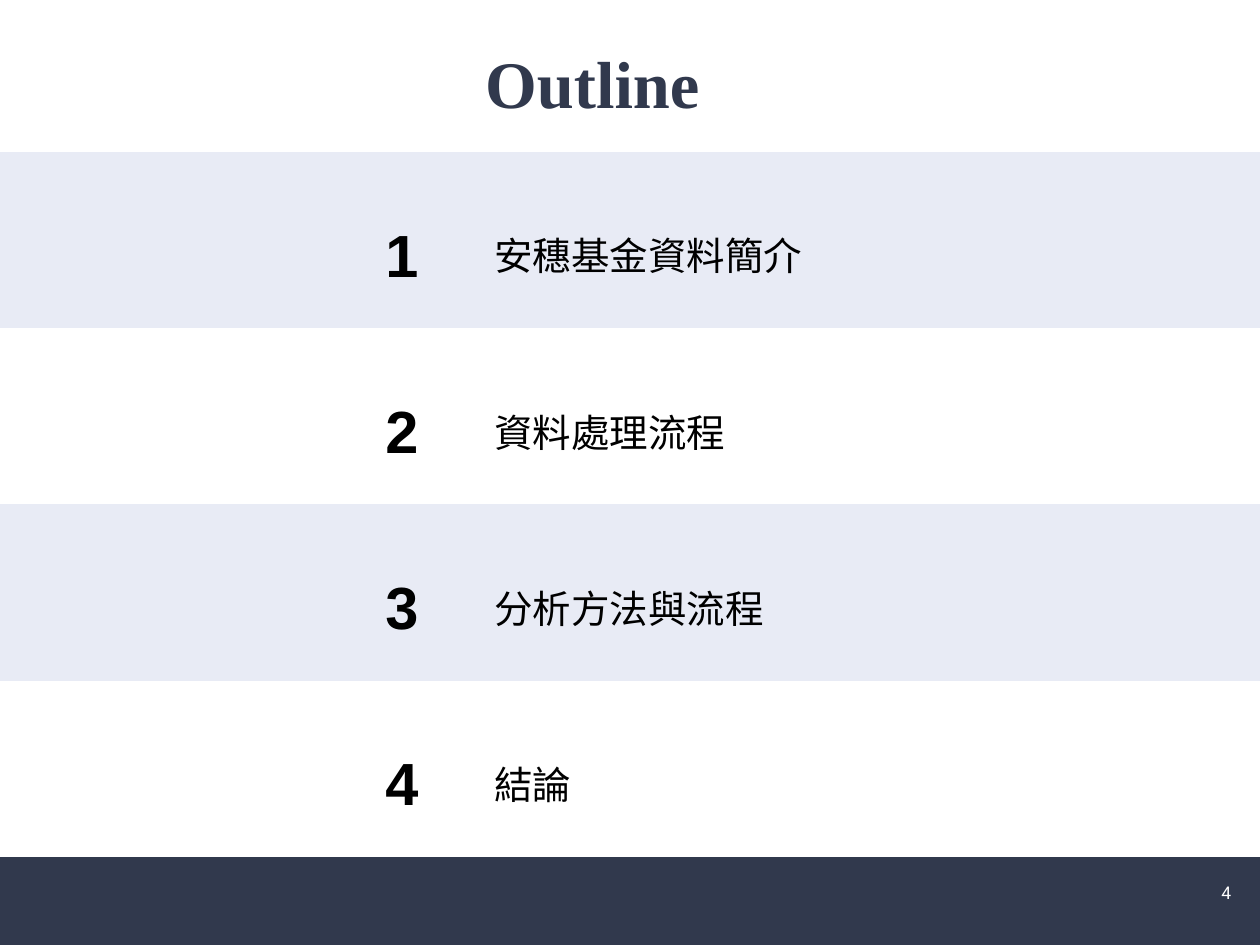
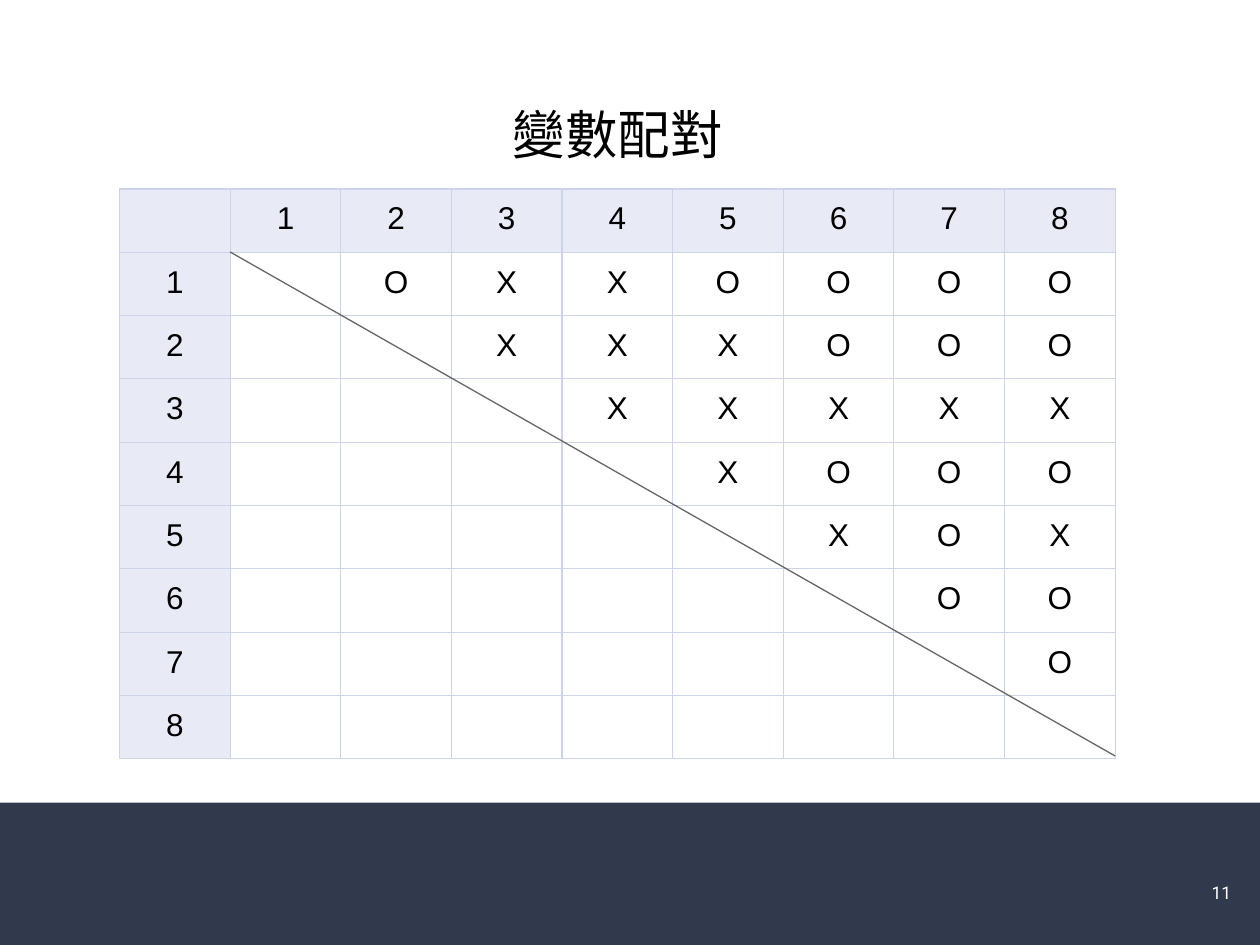
from dataclasses import dataclass
from lxml.etree import SubElement
from pptx import Presentation
from pptx.dml.color import RGBColor
from pptx.enum.shapes import MSO_CONNECTOR, MSO_SHAPE
from pptx.enum.text import MSO_ANCHOR, MSO_AUTO_SIZE, PP_ALIGN
from pptx.oxml.ns import qn
from pptx.util import Cm, Pt

OUTLINE = {
    "title": "Outline",
    "page": "4",
    "topics": ["安穗基金資料簡介", "資料處理流程", "分析方法與流程", "結論"],
}
PAIRING = {
    "title": "變數配對",
    "page": "11",
    "marks": ["OXXOOOO", "XXXOOO", "XXXXX", "XOOO", "XOX", "OO", "O", ""],
}


@dataclass(frozen=True)
class Theme:
    navy: str = "31394D"
    pale: str = "E8EBF5"
    white: str = "FFFFFF"
    black: str = "000000"
    grid: str = "CDD4EA"
    diagonal: str = "666666"
    sans: str = "Arial"
    serif: str = "Times New Roman"
    light: str = "Roboto"
    outline_title: int = 38
    pairing_title: int = 30
    number: int = 34
    topic: int = 22
    mark: int = 18
    page: int = 10
    hairline: float = 0.75


THEME = Theme()
PLAIN_TABLE = "{2D5ABB26-0587-4C30-8999-92F81FD0307C}"
INSET = 0.25
SLIDE_W, SLIDE_H = 25.4, 19.05
BAND_TOP = 16.18


def rgb(color):
    return RGBColor.from_string(color)


def style_text(frame, size, font, color=THEME.black, bold=False, align=PP_ALIGN.LEFT):
    for paragraph in frame.paragraphs:
        paragraph.alignment = align
        for run in paragraph.runs:
            run.font.size = Pt(size)
            run.font.name = font
            run.font.bold = bold
            run.font.color.rgb = rgb(color)


def set_insets(target, left, top, right, bottom):
    target.margin_left, target.margin_top = Cm(left), Cm(top)
    target.margin_right, target.margin_bottom = Cm(right), Cm(bottom)


def start_slide(deck, page):
    slide = deck.slides.add_slide(deck.slide_layouts[5])
    band = slide.shapes.add_shape(
        MSO_SHAPE.RECTANGLE, 0, Cm(BAND_TOP), Cm(SLIDE_W), Cm(SLIDE_H - BAND_TOP))
    band.shadow.inherit = False
    band.fill.solid()
    band.fill.fore_color.rgb = rgb(THEME.navy)
    band.line.fill.background()
    return slide


def add_page_number(slide, page):
    frame = slide.shapes.add_textbox(Cm(23.55), Cm(17.27), Cm(1.52), Cm(1.45)).text_frame
    frame.word_wrap = True
    frame.vertical_anchor = MSO_ANCHOR.MIDDLE
    set_insets(frame, INSET, INSET, INSET, INSET)
    frame.text = page
    style_text(frame, THEME.page, THEME.light, THEME.white, align=PP_ALIGN.RIGHT)


def place_title(slide, text, box, insets, **style):
    title = slide.shapes.title
    title.left, title.top, title.width, title.height = (Cm(side) for side in box)
    frame = title.text_frame
    frame.text = text
    frame.auto_size = MSO_AUTO_SIZE.NONE
    frame.vertical_anchor = MSO_ANCHOR.TOP
    set_insets(frame, *insets)
    style_text(frame, align=PP_ALIGN.CENTER, **style)


def add_plain_table(slide, left, top, widths, heights):
    table = slide.shapes.add_table(
        len(heights), len(widths), Cm(left), Cm(top),
        Cm(sum(widths)), Cm(sum(heights))).table
    table.first_row = table.horz_banding = False
    table._tbl.tblPr.find(qn("a:tableStyleId")).text = PLAIN_TABLE
    for column, width in zip(table.columns, widths):
        column.width = Cm(width)
    for row, height in zip(table.rows, heights):
        row.height = Cm(height)
    return table


def fill_cell(cell, color):
    cell.fill.solid()
    cell.fill.fore_color.rgb = rgb(color)


def border_cell(cell):
    properties = cell._tc.get_or_add_tcPr()
    for side in ("lnL", "lnR", "lnT", "lnB"):
        edge = SubElement(properties, qn(f"a:{side}"), w=str(Pt(THEME.hairline)))
        SubElement(SubElement(edge, qn("a:solidFill")), qn("a:srgbClr"), val=THEME.grid)


def build_outline(deck):
    slide = start_slide(deck, OUTLINE["page"])
    place_title(slide, OUTLINE["title"], (1.07, 0.76, 22.1, 1.78), (0.15, 0.08, 0.5, 0.08),
                size=THEME.outline_title, font=THEME.serif, color=THEME.navy, bold=True)
    topics = OUTLINE["topics"]
    table = add_plain_table(slide, 0, 3.07, [6.32, 3.05, 11.71, 4.32], [3.55] * len(topics))
    for index, topic in enumerate(topics):
        for cell in table.rows[index].cells:
            fill_cell(cell, THEME.white if index % 2 else THEME.pale)
        for column, text, size, indent in (
                (1, str(index + 1), THEME.number, 1.45), (2, topic, THEME.topic, 0.6)):
            cell = table.cell(index, column)
            cell.vertical_anchor = MSO_ANCHOR.MIDDLE
            set_insets(cell, indent, 0.08, 0.18, 0.08)
            cell.text_frame.text = text
            cell.text_frame.paragraphs[0].line_spacing = 1.5
            style_text(cell.text_frame, size, THEME.sans, bold=column == 1)
    add_page_number(slide, OUTLINE["page"])


def build_pairing(deck):
    slide = start_slide(deck, PAIRING["page"])
    place_title(slide, PAIRING["title"], (3.68, 1.8, 17.55, 1.8), [INSET] * 4,
                size=THEME.pairing_title, font=THEME.light)
    marks = PAIRING["marks"]
    count = len(marks)
    labels = [str(number) for number in range(1, count + 1)]
    rows = [[""] + labels]
    rows += [[label] + list(line.rjust(count)) for label, line in zip(labels, marks)]

    left, top, cell_w, cell_h = 2.41, 3.81, 2.23, 1.27
    table = add_plain_table(slide, left, top, [cell_w] * (count + 1), [cell_h] * (count + 1))
    for row, texts in enumerate(rows):
        for column, text in enumerate(texts):
            cell = table.cell(row, column)
            set_insets(cell, INSET, INSET, INSET, INSET)
            border_cell(cell)
            if row == 0 or column == 0:
                fill_cell(cell, THEME.pale)
            cell.text_frame.text = text.strip()
            style_text(cell.text_frame, THEME.mark, THEME.sans, align=PP_ALIGN.CENTER)

    diagonal = slide.shapes.add_connector(
        MSO_CONNECTOR.STRAIGHT, Cm(left + cell_w), Cm(top + cell_h),
        Cm(left + cell_w * (count + 1)), Cm(top + cell_h * (count + 1)))
    diagonal.line.color.rgb = rgb(THEME.diagonal)
    diagonal.line.width = Pt(THEME.hairline)
    SubElement(diagonal._element.spPr, qn("a:effectLst"))
    add_page_number(slide, PAIRING["page"])


def main():
    deck = Presentation()
    deck.slide_width, deck.slide_height = Cm(SLIDE_W), Cm(SLIDE_H)
    build_outline(deck)
    build_pairing(deck)
    deck.save("out.pptx")


if __name__ == "__main__":
    main()
